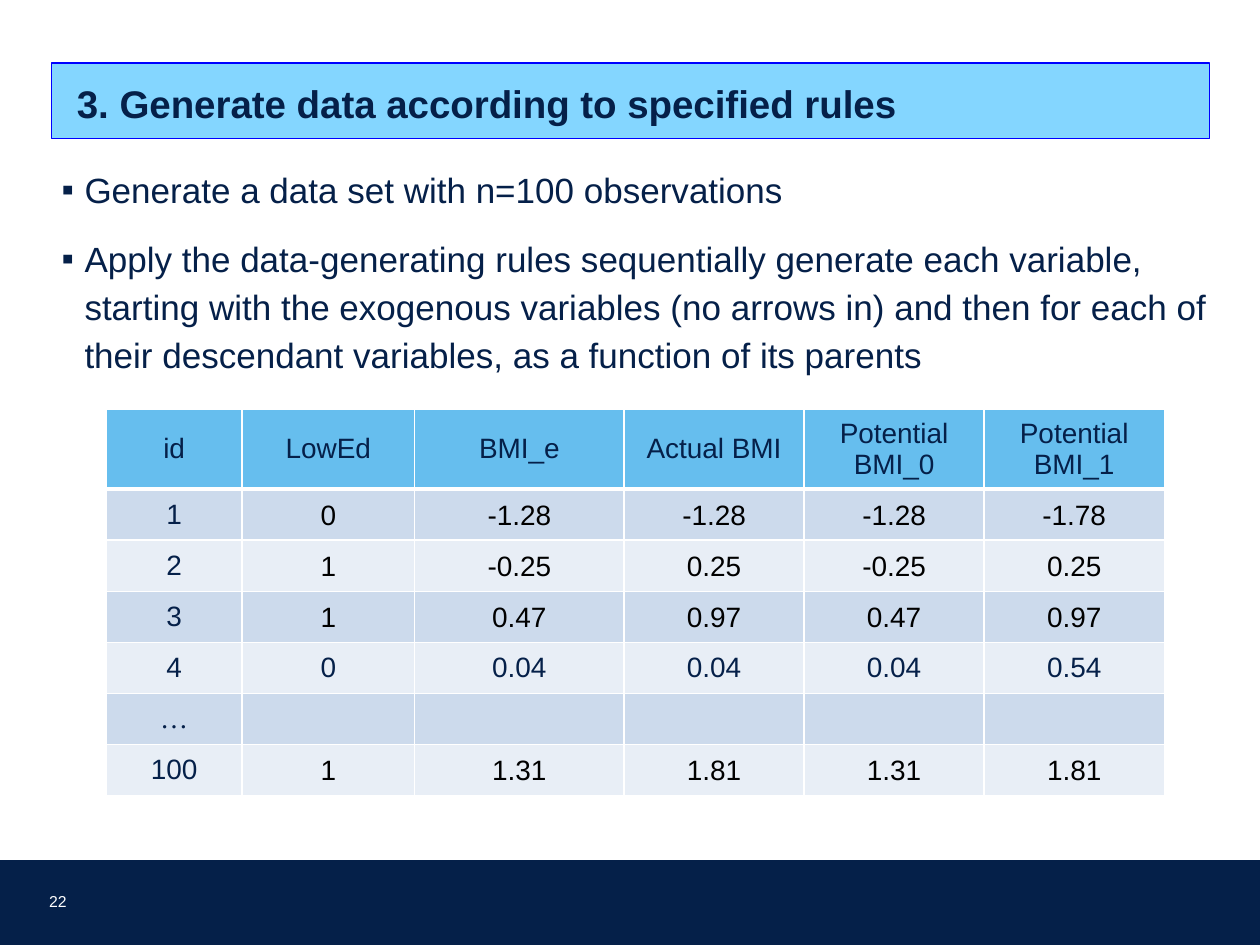
from lxml import etree
from pptx import Presentation
from pptx.dml.color import RGBColor
from pptx.enum import shapes, text
from pptx.oxml import ns
from pptx.util import Cm, Pt

HUES = {
    "navy": "052049", "white": "FFFFFF", "black": "000000",
    "sky": "66CCFF", "edge": "0000FF",
    "head": "66BEEE", "odd": "CCDAEC", "even": "E8EEF6",
}
POINTS = [
    ("Generate a data set with n=100 observations", 12),
    ("Apply the data-generating rules sequentially generate each variable, "
     "starting with the exogenous variables (no arrows in) and then for each of "
     "their descendant variables, as a function of its parents", 6),
]
ROWS = [
    ["id", "LowEd", "BMI_e", "Actual BMI", "Potential BMI_0", "Potential BMI_1"],
    ["1", "0", "-1.28", "-1.28", "-1.28", "-1.78"],
    ["2", "1", "-0.25", "0.25", "-0.25", "0.25"],
    ["3", "1", "0.47", "0.97", "0.47", "0.97"],
    ["4", "0", "0.04", "0.04", "0.04", "0.54"],
    ["…", "", "", "", "", ""],
    ["100", "1", "1.31", "1.81", "1.31", "1.81"],
]
WIDTHS = [2.74, 3.48, 4.22, 3.63, 3.63, 3.63]


def hue(name):
    return RGBColor.from_string(HUES[name])


def sub(node, tag, **attrs):
    return etree.SubElement(node, ns.qn(tag), **attrs)


class Deck:
    font = "Arial"

    def __init__(self):
        self.prs = Presentation()
        self.prs.slide_width, self.prs.slide_height = Cm(25.4), Cm(19.05)
        self.slide = self.prs.slides.add_slide(self.prs.slide_layouts[1])

    def place(self, shape, left, top, width, height):
        shape.left, shape.top = Cm(left), Cm(top)
        shape.width, shape.height = Cm(width), Cm(height)

    def paint(self, shape, fill, line, weight):
        shape.fill.solid()
        shape.fill.fore_color.rgb = hue(fill)
        shape.line.color.rgb = hue(line)
        shape.line.width = Pt(weight)

    def inset(self, box, side, top, bottom):
        box.margin_left = box.margin_right = Cm(side)
        box.margin_top, box.margin_bottom = Cm(top), Cm(bottom)

    def style(self, para, size, color="navy", bold=False, font=None):
        for run in para.runs:
            run.font.name = font or self.font
            run.font.size, run.font.bold = Pt(size), bold
            run.font.color.rgb = hue(color)

    def title(self, words, *box):
        shape = self.slide.shapes.title
        self.place(shape, *box)
        self.paint(shape, "sky", "edge", 0.75)
        tint = shape.fill._xPr.find(".//" + ns.qn("a:srgbClr"))
        sub(tint, "a:alpha", val="80000")
        frame = shape.text_frame
        frame.text = words
        frame.auto_size = text.MSO_AUTO_SIZE.NONE
        frame.vertical_anchor = text.MSO_ANCHOR.MIDDLE
        self.inset(frame, 0.51, 0.25, 0.25)
        para = frame.paragraphs[0]
        para.alignment = text.PP_ALIGN.LEFT
        para.line_spacing, para.space_after = 1.1, Pt(6)
        self.style(para, 22, bold=True)

    def body(self, points, *box):
        shape = self.slide.placeholders[1]
        self.place(shape, *box)
        frame = shape.text_frame
        frame.text = "\n".join(words for words, _ in points)
        frame.auto_size = text.MSO_AUTO_SIZE.NONE
        for para, (_, gap) in zip(frame.paragraphs, points):
            props = para._p.get_or_add_pPr()
            props.set("marL", str(Cm(0.46)))
            props.set("indent", str(Cm(-0.46)))
            sub(sub(props, "a:buClr"), "a:srgbClr", val=HUES["navy"])
            sub(props, "a:buFont", typeface=self.font)
            sub(props, "a:buChar", char="▪")
            para.line_spacing = 1.14
            para.space_before, para.space_after = Pt(0), Pt(gap)
            self.style(para, 20)

    def bar(self, fill, *box):
        shape = self.slide.shapes.add_shape(
            shapes.MSO_SHAPE.RECTANGLE, *map(Cm, box))
        shape.shadow.inherit = False
        self.paint(shape, fill, fill, 1.5)

    def label(self, words, *box):
        frame = self.slide.shapes.add_textbox(*map(Cm, box)).text_frame
        frame.text, frame.word_wrap = words, True
        frame.vertical_anchor = text.MSO_ANCHOR.BOTTOM
        self.inset(frame, 0, 0, 0)
        self.style(frame.paragraphs[0], 9, "white")

    def cell(self, cell, words, fill, color, font, base):
        cell.text = words
        cell.vertical_anchor = text.MSO_ANCHOR.MIDDLE
        if color == "black":
            self.inset(cell, 0.03, 0.03, 0)
        para = cell.text_frame.paragraphs[0]
        para.alignment = text.PP_ALIGN.CENTER
        self.style(para, 16, color, font=font)
        # Borders come before the fill
        props = cell._tc.get_or_add_tcPr()
        for side in "LRTB":
            width = base if side == "B" else 1
            line = sub(props, "a:ln" + side, w=str(Pt(width)))
            sub(sub(line, "a:solidFill"), "a:srgbClr", val=HUES["white"])
        cell.fill.solid()
        cell.fill.fore_color.rgb = hue(fill)

    def table(self, rows, widths, left, top, head, step):
        grid = self.slide.shapes.add_table(
            len(rows), len(widths), Cm(left), Cm(top), Cm(sum(widths)),
            Cm(head + step * (len(rows) - 1))).table
        for col, width in zip(grid.columns, widths):
            col.width = Cm(width)
        for r, row in enumerate(rows):
            grid.rows[r].height = Cm(step if r else head)
            fill = ("odd" if r % 2 else "even") if r else "head"
            for c, words in enumerate(row):
                plain = r == 0 or c == 0 or row[0] in ("4", "…")
                font = "Times New Roman" if words == "…" else self.font
                self.cell(grid.cell(r, c), words, fill,
                          "navy" if plain else "black", font, 1 if r else 3)


def main():
    deck = Deck()
    # Footer
    deck.bar("navy", 0, 17.37, 25.4, 1.68)
    deck.label("22", 0.99, 17.93, 0.69, 0.43)
    # Heading and points
    deck.title("3. Generate data according to specified rules",
               1.04, 1.27, 23.34, 1.52)
    deck.body(POINTS, 0.99, 3.15, 23.62, 12.34)
    # Sample data
    deck.table(ROWS, WIDTHS, 2.14, 8.25, 1.5, 1.03)
    deck.prs.save("out.pptx")


if __name__ == "__main__":
    main()
